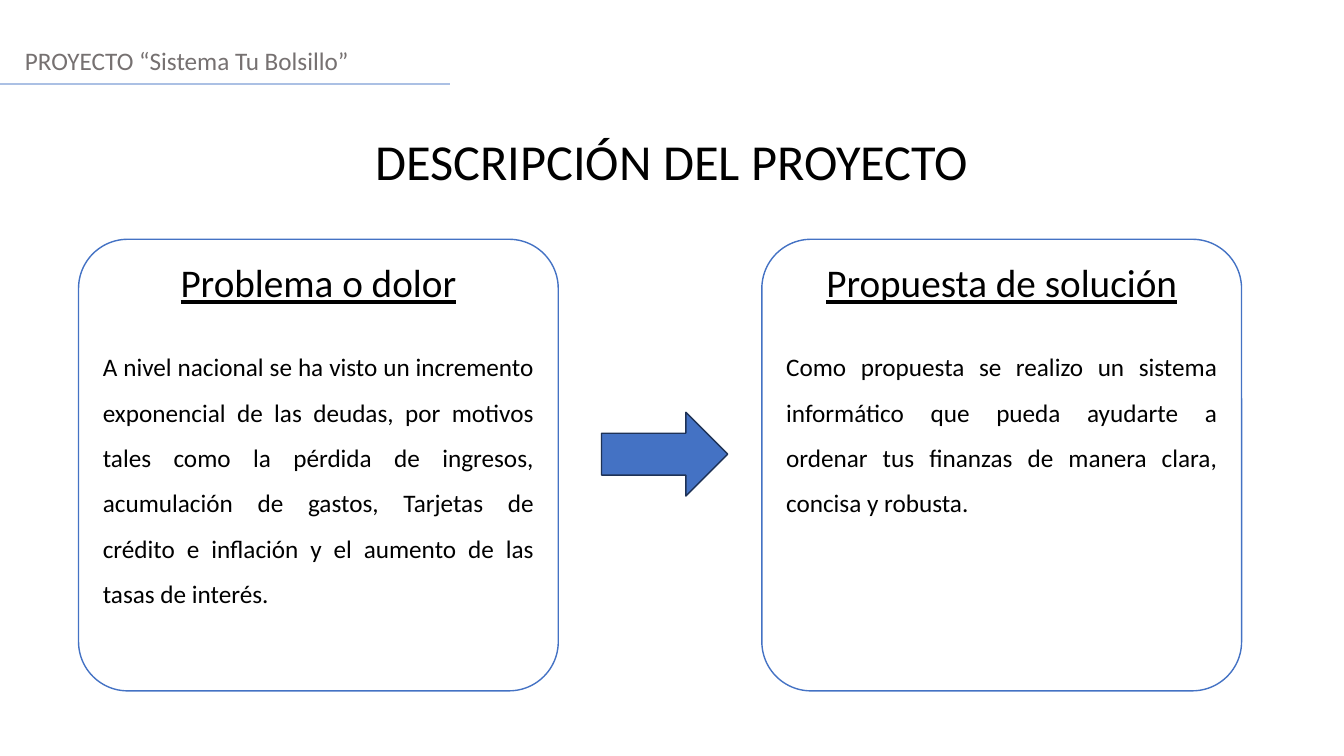
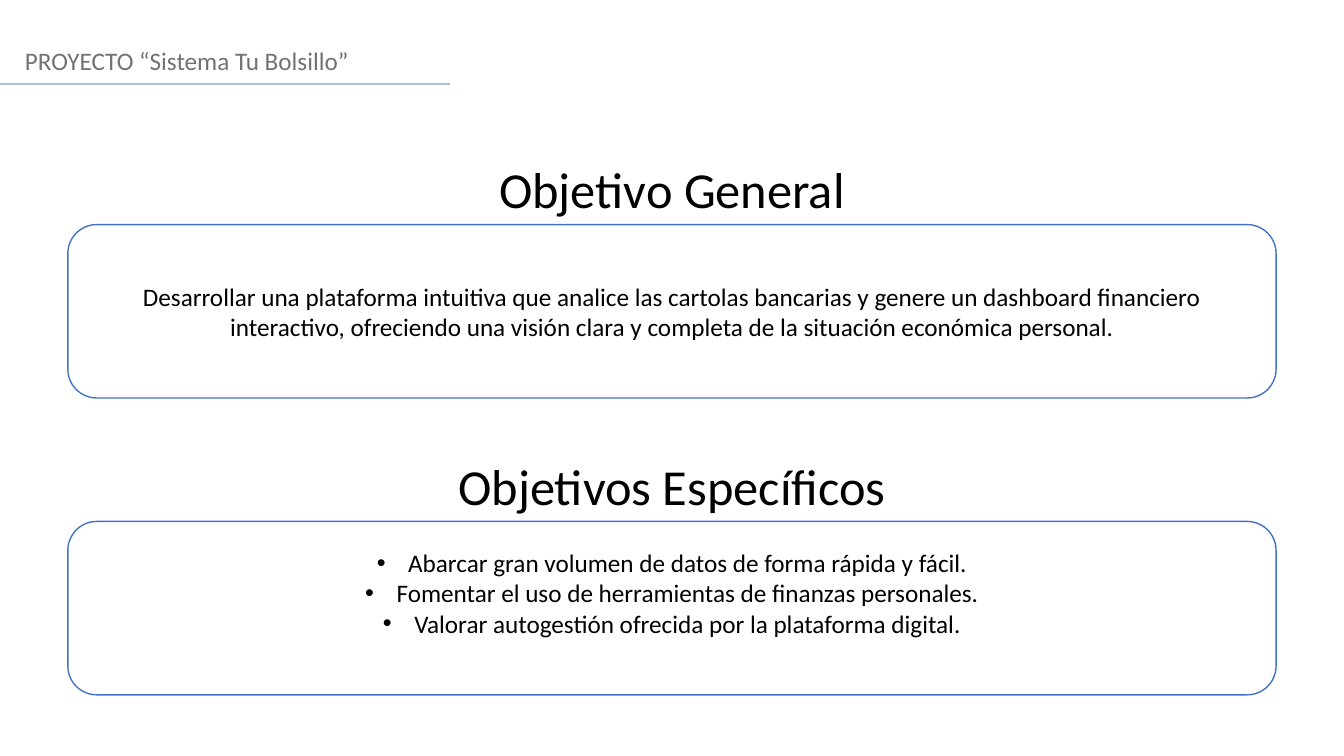
from lxml import etree
from pptx import Presentation
from pptx.dml.color import RGBColor
from pptx.enum.shapes import MSO_CONNECTOR, MSO_SHAPE
from pptx.enum.text import MSO_ANCHOR, PP_ALIGN
from pptx.oxml.ns import qn
from pptx.util import Cm, Pt

LEFT, CENTER, JUSTIFY = PP_ALIGN.LEFT, PP_ALIGN.CENTER, PP_ALIGN.JUSTIFY
TOP, MIDDLE = MSO_ANCHOR.TOP, MSO_ANCHOR.MIDDLE
ROUNDED, ARROW = MSO_SHAPE.ROUNDED_RECTANGLE, MSO_SHAPE.RIGHT_ARROW

PROJECT = "PROYECTO “Sistema Tu Bolsillo”"
DESCRIPTION_TITLE = "DESCRIPCIÓN DEL PROYECTO"
CARDS = [
    ("Problema o dolor",
     "A nivel nacional se ha visto un incremento exponencial de las deudas, "
     "por motivos tales como la pérdida de ingresos, acumulación de gastos, "
     "Tarjetas de crédito e inflación y el aumento de las tasas de interés."),
    ("Propuesta de solución",
     "Como propuesta se realizo un sistema informático que pueda ayudarte a "
     "ordenar tus finanzas de manera clara, concisa y robusta."),
]
GENERAL_TITLE = "Objetivo General"
GENERAL_GOAL = (
    "Desarrollar una plataforma intuitiva que analice las cartolas bancarias y "
    "genere un dashboard financiero interactivo, ofreciendo una visión clara y "
    "completa de la situación económica personal.")
SPECIFIC_TITLE = "Objetivos Específicos"
SPECIFIC_GOALS = [
    "Abarcar gran volumen de datos de forma rápida y fácil.",
    "Fomentar el uso de herramientas de finanzas personales.",
    "Valorar autogestión ofrecida por la plataforma digital.",
]

FONT = "Calibri"
BLACK, WHITE, GRAY = "000000", "FFFFFF", "767171"
BLUE, DARK_BLUE, PALE_BLUE = "4472C4", "1E3256", "ABC0E4"
TITLE_SIZE, HEADING_SIZE, BODY_SIZE = 36, 28, 18

SLIDE_W, SLIDE_H = Cm(33.87), Cm(19.05)
CARD_TOP, CARD_W, CARD_H = Cm(6.03), Cm(12.09), Cm(11.38)
CARD_LEFT, CARD_PITCH, CARD_ROUNDING = Cm(1.98), Cm(17.22), 0.109
PANEL_W, PANEL_H = Cm(30.45), Cm(4.37)
PANEL_TOP, PANEL_PITCH = Cm(5.66), Cm(7.48)
TITLE_H = Cm(1.8)
BULLET_INDENT = Cm(0.79)


def color(hex_value):
    return RGBColor.from_string(hex_value)


def add_paragraph(frame, text, size, align=CENTER, ink=BLACK, underline=False, bullet=False):
    """Fill the frame's first paragraph if it is still empty, else append one."""
    first = frame.paragraphs[0]
    paragraph = frame.add_paragraph() if first.runs else first
    paragraph.alignment = align
    if bullet:
        properties = paragraph._p.get_or_add_pPr()
        properties.set("marL", str(BULLET_INDENT))
        properties.set("indent", str(-BULLET_INDENT))
        etree.SubElement(properties, qn("a:buFont"), typeface="Arial")
        etree.SubElement(properties, qn("a:buChar"), char="•")
    run = paragraph.add_run()
    run.text = text
    font = run.font
    font.name, font.size, font.color.rgb = FONT, Pt(size), color(ink)
    if underline:
        font.underline = True
    return paragraph


def add_label(slide, text, left, top, width, height, size, **style):
    frame = slide.shapes.add_textbox(left, top, width, height).text_frame
    frame.word_wrap = True
    add_paragraph(frame, text, size, **style)


def add_title(slide, text, top):
    add_label(slide, text, 0, top, SLIDE_W, TITLE_H, TITLE_SIZE)


def add_outlined(slide, kind, left, top, width, height, fill=WHITE, outline=BLUE):
    shape = slide.shapes.add_shape(kind, left, top, width, height)
    shape.shadow.inherit = False
    shape.fill.solid()
    shape.fill.fore_color.rgb = color(fill)
    shape.line.color.rgb = color(outline)
    shape.line.width = Pt(1)
    return shape


def add_project_slide(deck):
    """Add a blank slide with the project name and its rule."""
    slide = deck.slides.add_slide(deck.slide_layouts[6])
    rule = slide.shapes.add_connector(MSO_CONNECTOR.STRAIGHT, 0, Cm(2.11), Cm(11.35), Cm(2.11))
    rule.line.color.rgb = color(PALE_BLUE)
    rule.line.width = Pt(1.25)
    etree.SubElement(rule._element.spPr, qn("a:effectLst"))
    add_label(slide, PROJECT, Cm(0.38), Cm(1.02), Cm(11), Cm(1.02), BODY_SIZE,
              align=LEFT, ink=GRAY)
    return slide


def build_description(deck):
    slide = add_project_slide(deck)
    add_title(slide, DESCRIPTION_TITLE, Cm(3.15))
    for index, (heading, body) in enumerate(CARDS):
        card = add_outlined(slide, ROUNDED, CARD_LEFT + index * CARD_PITCH,
                            CARD_TOP, CARD_W, CARD_H)
        card.adjustments[0] = CARD_ROUNDING
        frame = card.text_frame
        frame.vertical_anchor = TOP
        add_paragraph(frame, heading, HEADING_SIZE, underline=True)
        text = add_paragraph(frame, body, BODY_SIZE, align=JUSTIFY)
        text.line_spacing = 1.5
        text.space_before = Pt(22)
    add_outlined(slide, ARROW, Cm(15.16), Cm(10.39), Cm(3.18), Cm(2.11), BLUE, DARK_BLUE)


def build_objectives(deck):
    slide = add_project_slide(deck)
    sections = [(GENERAL_TITLE, [GENERAL_GOAL], False),
                (SPECIFIC_TITLE, SPECIFIC_GOALS, True)]
    for index, (title, goals, bulleted) in enumerate(sections):
        top = PANEL_TOP + index * PANEL_PITCH
        add_title(slide, title, top - TITLE_H)
        panel = add_outlined(slide, ROUNDED, (SLIDE_W - PANEL_W) // 2, top, PANEL_W, PANEL_H)
        frame = panel.text_frame
        frame.vertical_anchor = MIDDLE
        if bulleted:
            frame.margin_bottom = Cm(0.9)
        for goal in goals:
            add_paragraph(frame, goal, BODY_SIZE, bullet=bulleted)


def main():
    deck = Presentation()
    deck.slide_width, deck.slide_height = SLIDE_W, SLIDE_H
    build_description(deck)
    build_objectives(deck)
    deck.save("out.pptx")


if __name__ == "__main__":
    main()
